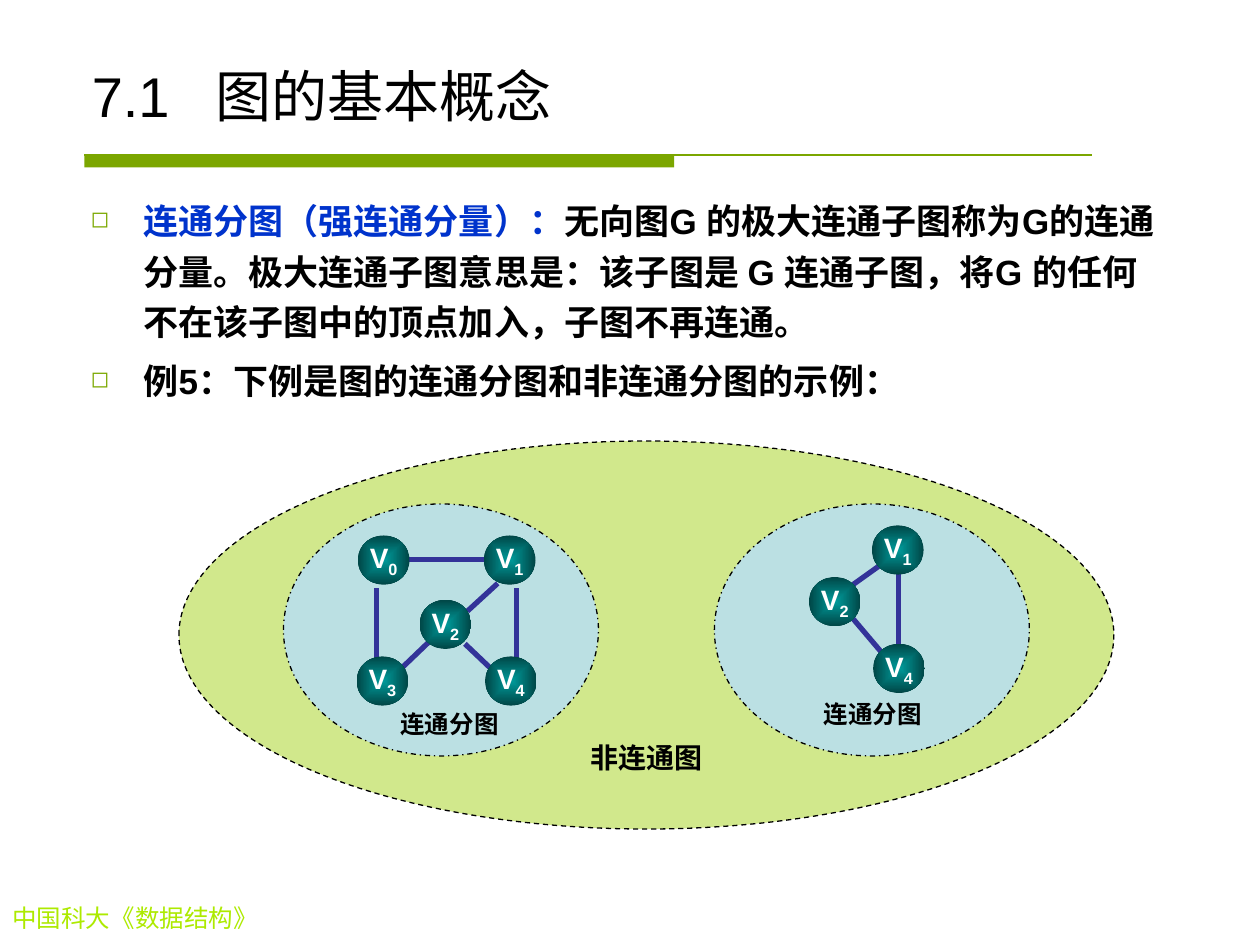
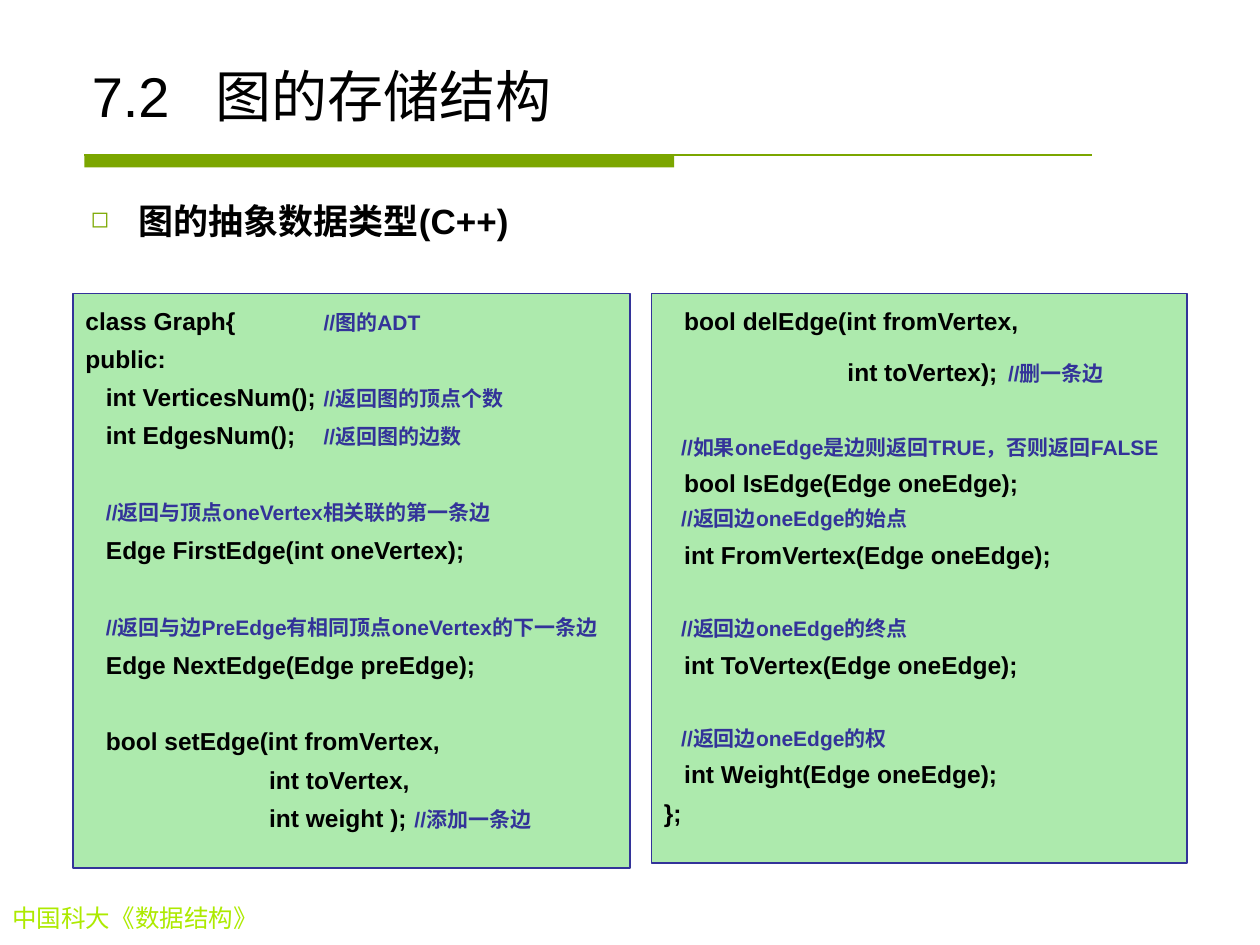
import dataclasses

import lxml.etree
import pptx
import pptx.dml.color
import pptx.enum.dml
import pptx.enum.shapes
import pptx.enum.text
import pptx.oxml.ns
import pptx.util

Inches = pptx.util.Inches
Pt = pptx.util.Pt
qn = pptx.oxml.ns.qn
Shapes = pptx.enum.shapes.MSO_SHAPE
Dash = pptx.enum.dml.MSO_LINE


@dataclasses.dataclass(frozen=True)
class Theme:
    """Colours, fonts and type sizes of the deck."""
    black: str = "000000"
    white: str = "FFFFFF"
    band: str = "7BA600"
    bullet: str = "7CA800"
    footer: str = "ADEA00"
    term: str = "0033CC"
    accent: str = "333399"
    whole: str = "99CC00"
    component: str = "BBE0E3"
    code: str = "33CC33"
    node_light: str = "009999"
    node_dark: str = "004646"
    font: str = "Arial"
    footer_font: str = "Times New Roman"
    title_size: float = 32
    body_size: float = 20
    node_size: float = 16
    code_size: float = 14
    comment_size: float = 12


THEME = Theme()
BLANK_LINE = 22
COMMENT_TAB = 1.89

LEFT_NODES = {"0": (0.59, 0.25), "4": (1.6, 1.21), "3": (0.58, 1.21),
              "1": (1.59, 0.25), "2": (1.08, 0.76)}
LEFT_EDGES = [(0.74, 0.67, 0.74, 1.22), (0.98, 0.44, 1.65, 0.44),
              (1.85, 0.67, 1.85, 1.22), (1.17, 1.08, 0.93, 1.31),
              (1.7, 0.63, 1.46, 0.85), (1.44, 1.11, 1.65, 1.31)]
RIGHT_NODES = {"4": (1.26, 1.11), "1": (1.25, 0.17), "2": (0.75, 0.58)}
RIGHT_EDGES = [(1.31, 0.49, 1.1, 0.64), (1.32, 1.17, 1.1, 0.91),
               (1.46, 0.55, 1.46, 1.11)]

DEFINITION = ("无向图G 的极大连通子图称为G的连通分量。极大连通子图意思是：该子图是 G 连通子图，"
              "将G 的任何不在该子图中的顶点加入，子图不再连通。")

# Each code line holds its code, its comment and whether a blank line precedes it.
LEFT_CODE = [
    ("class Graph{\t", "//图的ADT", False),
    ("public:", "", False),
    ("   int VerticesNum();\t", "//返回图的顶点个数", False),
    ("   int EdgesNum();\t", "//返回图的边数", False),
    ("   ", "//返回与顶点oneVertex相关联的第一条边", True),
    ("   Edge FirstEdge(int oneVertex);", "", False),
    ("   ", "//返回与边PreEdge有相同顶点oneVertex的下一条边", True),
    ("   Edge NextEdge(Edge preEdge);", "", False),
    ("   bool setEdge(int fromVertex,", "", True),
    ("                           int toVertex,", "", False),
    ("                           int weight ); ", "//添加一条边", False),
]
RIGHT_CODE = [
    ("   bool delEdge(int fromVertex,", "", False),
    ("                           int toVertex);", "//删一条边", False),
    ("", "   //如果oneEdge是边则返回TRUE，否则返回FALSE", True),
    ("   bool IsEdge(Edge oneEdge);", "", False),
    ("", "   //返回边oneEdge的始点", False),
    ("   int FromVertex(Edge oneEdge);", "", False),
    ("", "   //返回边oneEdge的终点", True),
    ("   int ToVertex(Edge oneEdge);", "", False),
    ("", "   //返回边oneEdge的权", True),
    ("   int Weight(Edge oneEdge);", "", False),
    ("};", "", False),
]


def rgb(value):
    """Turn a hex string into a colour."""
    return pptx.dml.color.RGBColor.from_string(value)


def add_run(paragraph, text, size, color=THEME.black, bold=True, font=THEME.font):
    """Append one formatted run."""
    run = paragraph.add_run()
    run.text = text
    run.font.name = font
    run.font.size = Pt(size)
    run.font.bold = bold
    run.font.color.rgb = rgb(color)
    return run


def add_tab(paragraph, position):
    """Set one left tab stop, in inches."""
    tabs = lxml.etree.SubElement(paragraph._p.get_or_add_pPr(), qn("a:tabLst"))
    lxml.etree.SubElement(tabs, qn("a:tab"), pos=str(Inches(position)), algn="l")


def add_bullet(paragraph, indent):
    """Give a paragraph the hollow square bullet and a hanging indent."""
    properties = paragraph._p.get_or_add_pPr()
    properties.set("marL", str(Inches(indent)))
    properties.set("indent", str(-Inches(indent)))
    color = lxml.etree.SubElement(properties, qn("a:buClr"))
    lxml.etree.SubElement(color, qn("a:srgbClr"), val=THEME.bullet)
    lxml.etree.SubElement(properties, qn("a:buSzPct"), val="65000")
    lxml.etree.SubElement(properties, qn("a:buChar"), char="◻")


def add_text_box(slide, box):
    """Add an empty text box and return its text frame."""
    frame = slide.shapes.add_textbox(*map(Inches, box)).text_frame
    frame.word_wrap = True
    return frame


def add_label(slide, box, text, size):
    """Add a one-line bold label."""
    add_run(add_text_box(slide, box).paragraphs[0], text, size)


def add_outline_shape(slide, kind, box, fill, line=THEME.black, dash=None, opacity=None):
    """Add a thinly outlined shape, see-through when an opacity is given."""
    shape = slide.shapes.add_shape(kind, *map(Inches, box))
    shape.shadow.inherit = False
    shape.fill.solid()
    shape.fill.fore_color.rgb = rgb(fill)
    if opacity:
        color = shape._element.spPr.find(qn("a:solidFill")).find(qn("a:srgbClr"))
        lxml.etree.SubElement(color, qn("a:alpha"), val=str(opacity * 1000))
    shape.line.color.rgb = rgb(line)
    shape.line.width = Pt(0.75)
    if dash:
        shape.line.dash_style = dash
    return shape


def add_line(slide, ends, color, width):
    """Add a straight line between two points."""
    line = slide.shapes.add_connector(
        pptx.enum.shapes.MSO_CONNECTOR.STRAIGHT, *map(Inches, ends))
    line.line.color.rgb = rgb(color)
    line.line.width = Pt(width)
    lxml.etree.SubElement(line._element.spPr, qn("a:effectLst"))


def add_frame(slide, number, title):
    """Add the green band, the footer and the slide title."""
    band = slide.shapes.add_shape(
        Shapes.RECTANGLE, *map(Inches, (0.67, 1.23, 4.68, 0.1)))
    band.shadow.inherit = False
    band.fill.solid()
    band.fill.fore_color.rgb = rgb(THEME.band)
    band.line.fill.background()
    add_line(slide, (0.67, 1.23, 8.67, 1.23), THEME.band, 0.75)
    footer = add_text_box(slide, (0, 7.12, 3.11, 0.34)).paragraphs[0]
    add_run(footer, "中国科大《数据结构》", THEME.code_size, THEME.footer, False,
            THEME.footer_font)
    frame = add_text_box(slide, (0.63, 0.33, 8.75, 0.74))
    frame.vertical_anchor = pptx.enum.text.MSO_ANCHOR.BOTTOM
    paragraph = frame.paragraphs[0]
    add_tab(paragraph, 0.98)
    add_run(paragraph, f"{number}\t{title}", THEME.title_size, bold=False)


def add_body(slide, box, items, indent):
    """Add bulleted paragraphs, each a list of text and colour pairs."""
    frame = add_text_box(slide, box)
    for index, item in enumerate(items):
        paragraph = frame.add_paragraph() if index else frame.paragraphs[0]
        add_bullet(paragraph, indent)
        paragraph.line_spacing = 1.2
        if index:
            paragraph.space_before = Pt(5)
        for text, color in item:
            add_run(paragraph, text, THEME.body_size, color)


def add_node(slide, left, top, number):
    """Add one shaded graph vertex with its subscript."""
    node = slide.shapes.add_shape(
        Shapes.OVAL, *map(Inches, (left, top, 0.41, 0.39)))
    node.shadow.inherit = False
    node.line.fill.background()
    node.fill.gradient()
    for stop, color, position in zip(
            node.fill.gradient_stops, (THEME.node_light, THEME.node_dark), (0, 1)):
        stop.color.rgb = rgb(color)
        stop.position = position
    gradient = node._element.spPr.find(qn("a:gradFill"))
    gradient.remove(gradient.find(qn("a:lin")))
    shade = lxml.etree.SubElement(gradient, qn("a:path"), path="rect")
    lxml.etree.SubElement(shade, qn("a:fillToRect"),
                          dict.fromkeys("ltrb", "50000"))
    frame = node.text_frame
    frame.word_wrap = False
    frame.vertical_anchor = pptx.enum.text.MSO_ANCHOR.MIDDLE
    paragraph = frame.paragraphs[0]
    paragraph.alignment = pptx.enum.text.PP_ALIGN.CENTER
    add_run(paragraph, "V", THEME.node_size, THEME.white)
    subscript = add_run(paragraph, number, THEME.node_size, THEME.white)
    subscript._r.get_or_add_rPr().set("baseline", "-25000")


def add_component(slide, left, top, nodes, edges, caption):
    """Add one connected component; its parts are relative to its corner."""
    add_outline_shape(slide, Shapes.OVAL, (left, top, 2.5, 2), THEME.component,
                      dash=Dash.DASH_DOT)
    for x1, y1, x2, y2 in edges:
        add_line(slide, (left + x1, top + y1, left + x2, top + y2), THEME.accent, 3)
    for number, (x, y) in nodes.items():
        add_node(slide, left + x, top + y, number)
    x, y = caption
    add_label(slide, (left + x, top + y, 1.1, 0.34), "连通分图", THEME.code_size)


def add_graph(slide, left, top):
    """Add the disconnected graph with its two components."""
    add_outline_shape(slide, Shapes.OVAL, (left, top, 7.42, 3.08), THEME.whole,
                      dash=Dash.DASH, opacity=45)
    add_component(slide, left + 4.25, top + 0.5, RIGHT_NODES, RIGHT_EDGES, (0.77, 1.5))
    add_component(slide, left + 0.83, top + 0.5, LEFT_NODES, LEFT_EDGES, (0.83, 1.58))
    add_label(slide, (left + 3.17, top + 2.33, 1.2, 0.37), "非连通图", THEME.node_size)


def add_code(slide, box, lines):
    """Add a code panel with coloured comments."""
    panel = add_outline_shape(slide, Shapes.RECTANGLE, box, THEME.code,
                              THEME.accent, opacity=40)
    frame = panel.text_frame
    frame.word_wrap = True
    frame.vertical_anchor = pptx.enum.text.MSO_ANCHOR.TOP
    for index, (code, comment, after_blank) in enumerate(lines):
        paragraph = frame.add_paragraph() if index else frame.paragraphs[0]
        paragraph.alignment = pptx.enum.text.PP_ALIGN.LEFT
        paragraph.line_spacing = 1.2
        if index:
            gap = 1.5 if comment else 1.8
            paragraph.space_before = Pt(gap + BLANK_LINE * after_blank)
        if code.endswith("\t"):
            add_tab(paragraph, COMMENT_TAB)
        if code:
            add_run(paragraph, code, THEME.code_size)
        if code.endswith(";") and comment:
            add_run(paragraph, " ", THEME.body_size)
        if comment:
            add_run(paragraph, comment, THEME.comment_size, THEME.accent)


def build_concept_slide(slide):
    """Build the slide on connected components."""
    add_frame(slide, "7.1", "图的基本概念")
    add_body(slide, (0.62, 1.47, 8.75, 5.43), [
        [("连通分图（强连通分量）：", THEME.term), (DEFINITION, THEME.black)],
        [("例5：下例是图的连通分图和非连通分图的示例：", THEME.black)],
    ], 0.42)
    add_graph(slide, 1.42, 3.5)


def build_storage_slide(slide):
    """Build the slide on the abstract data type."""
    add_frame(slide, "7.2", "图的存储结构")
    add_body(slide, (0.62, 1.47, 8.75, 0.62),
             [[("图的抽象数据类型(C++)", THEME.black)]], 0.38)
    add_code(slide, (0.58, 2.33, 4.42, 4.56), LEFT_CODE)
    add_code(slide, (5.17, 2.33, 4.25, 4.52), RIGHT_CODE)


def main():
    """Build and save the presentation."""
    presentation = pptx.Presentation()
    presentation.slide_width = Inches(10)
    presentation.slide_height = Inches(7.5)
    for build in (build_concept_slide, build_storage_slide):
        build(presentation.slides.add_slide(presentation.slide_layouts[6]))
    presentation.save("out.pptx")


if __name__ == "__main__":
    main()
